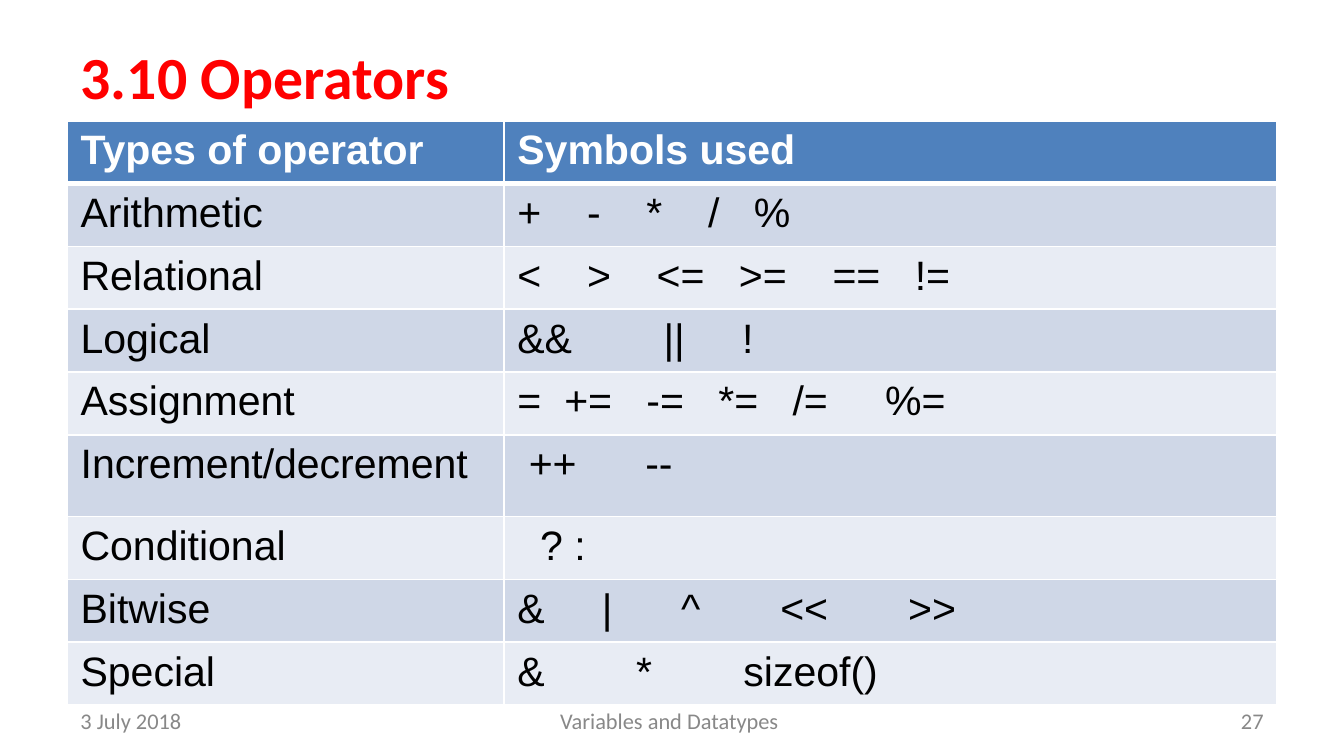
from lxml.etree import SubElement
from pptx import Presentation
from pptx.dml.color import RGBColor
from pptx.enum.text import MSO_ANCHOR, MSO_AUTO_SIZE, PP_ALIGN
from pptx.oxml.ns import qn
from pptx.util import Pt

# Operator type, symbols, and where the symbols after each tab start (points)
OPERATORS = [
    ("Arithmetic", "+\t-\t*\t/\t%", (37.3, 69.1, 102.1, 126.6)),
    ("Relational", "<\t>\t<=\t>=\t==\t!=", (37.3, 74.6, 118.7, 168.8, 212.9)),
    ("Logical", "&&\t||\t!", (78.3, 120.3)),
    ("Assignment", "=\t+=\t-=\t*=\t/=\t%=", (25.1, 69.1, 107.7, 147.4, 197)),
    ("Increment/decrement", "\t++\t--", (6.1, 68.5)),
    ("Conditional", "\t? :", (12.2,)),
    ("Bitwise", "&\t|\t^\t<<\t>>", (45.3, 87.7, 140.8, 209.3)),
    ("Special", "&\t*\tsizeof()", (63.6, 121.1)),
]
HEADER_FILL = "4F81BD"
BAND_FILLS = ("CFD7E7", "E8ECF4")
COLUMN_WIDTHS = (234, 414)
ROW_HEIGHT, TALL_ROW_HEIGHT = 31, 43.9
TALL_ROW = 5


def rgb(value):
    return RGBColor.from_string(value)


def write(tf, text, size=22, font="Arial", color="000000", bold=False,
          align=PP_ALIGN.LEFT, tabs=()):
    p = tf.paragraphs[0]
    p.alignment = align
    if tabs:
        tab_list = SubElement(p._p.get_or_add_pPr(), qn("a:tabLst"))
        for pos in tabs:
            SubElement(tab_list, qn("a:tab"), pos=str(int(Pt(pos))), algn="l")
    r = p.add_run()
    r.text = text
    r.font.size, r.font.name, r.font.bold = Pt(size), font, bold
    r.font.color.rgb = rgb(color)


def add_title(s, text):
    sp = s.shapes.title
    sp.left, sp.top, sp.width, sp.height = Pt(36), Pt(16.5), Pt(648), Pt(48.2)
    tf = sp.text_frame
    tf.auto_size = MSO_AUTO_SIZE.NONE
    tf.vertical_anchor = MSO_ANCHOR.MIDDLE
    write(tf, text, size=32, font="Calibri", color="FF0000", bold=True)


def add_footer(s, text, left, width, align):
    tf = s.shapes.add_textbox(Pt(left), Pt(375.2), Pt(width), Pt(21.6)).text_frame
    tf.word_wrap = True
    tf.vertical_anchor = MSO_ANCHOR.MIDDLE
    write(tf, text, size=12, font="Calibri", color="888888", align=align)


def set_borders(cell, row):
    widths = {"L": 1, "R": 1, "T": 3 if row == 1 else 1, "B": 3 if row == 0 else 1}
    tc_pr = cell._tc.get_or_add_tcPr()
    for side, width in widths.items():
        ln = SubElement(tc_pr, qn(f"a:ln{side}"), w=str(int(Pt(width))))
        fill = SubElement(ln, qn("a:solidFill"))
        SubElement(fill, qn("a:srgbClr"), val="FFFFFF")


def fill_cell(cell, row, text, tabs=()):
    header = row == 0
    set_borders(cell, row)
    cell.fill.solid()
    cell.fill.fore_color.rgb = rgb(HEADER_FILL if header else BAND_FILLS[(row - 1) % 2])
    write(cell.text_frame, text, color="FFFFFF" if header else "000000",
          bold=header, tabs=tabs)


def add_operator_table(s):
    rows = [("Types of operator", "Symbols used", ())] + OPERATORS
    heights = [TALL_ROW_HEIGHT if i == TALL_ROW else ROW_HEIGHT
               for i in range(len(rows))]
    table = s.shapes.add_table(len(rows), 2, Pt(36), Pt(64.8),
                               Pt(sum(COLUMN_WIDTHS)), Pt(sum(heights))).table
    for column, width in zip(table.columns, COLUMN_WIDTHS):
        column.width = Pt(width)
    for i, (kind, symbols, tabs) in enumerate(rows):
        table.rows[i].height = Pt(heights[i])
        fill_cell(table.cell(i, 0), i, kind)
        fill_cell(table.cell(i, 1), i, symbols, tabs)


def main():
    prs = Presentation()
    prs.slide_width, prs.slide_height = Pt(720), Pt(405)
    s = prs.slides.add_slide(prs.slide_layouts[5])

    add_title(s, "3.10 Operators")

    # Footer line: date, page number, chapter
    add_footer(s, "3 July 2018", 36, 168, PP_ALIGN.LEFT)
    add_footer(s, "27", 516, 168, PP_ALIGN.RIGHT)
    add_footer(s, "Variables and Datatypes ", 246, 228, PP_ALIGN.CENTER)

    add_operator_table(s)
    prs.save("out.pptx")


if __name__ == "__main__":
    main()
